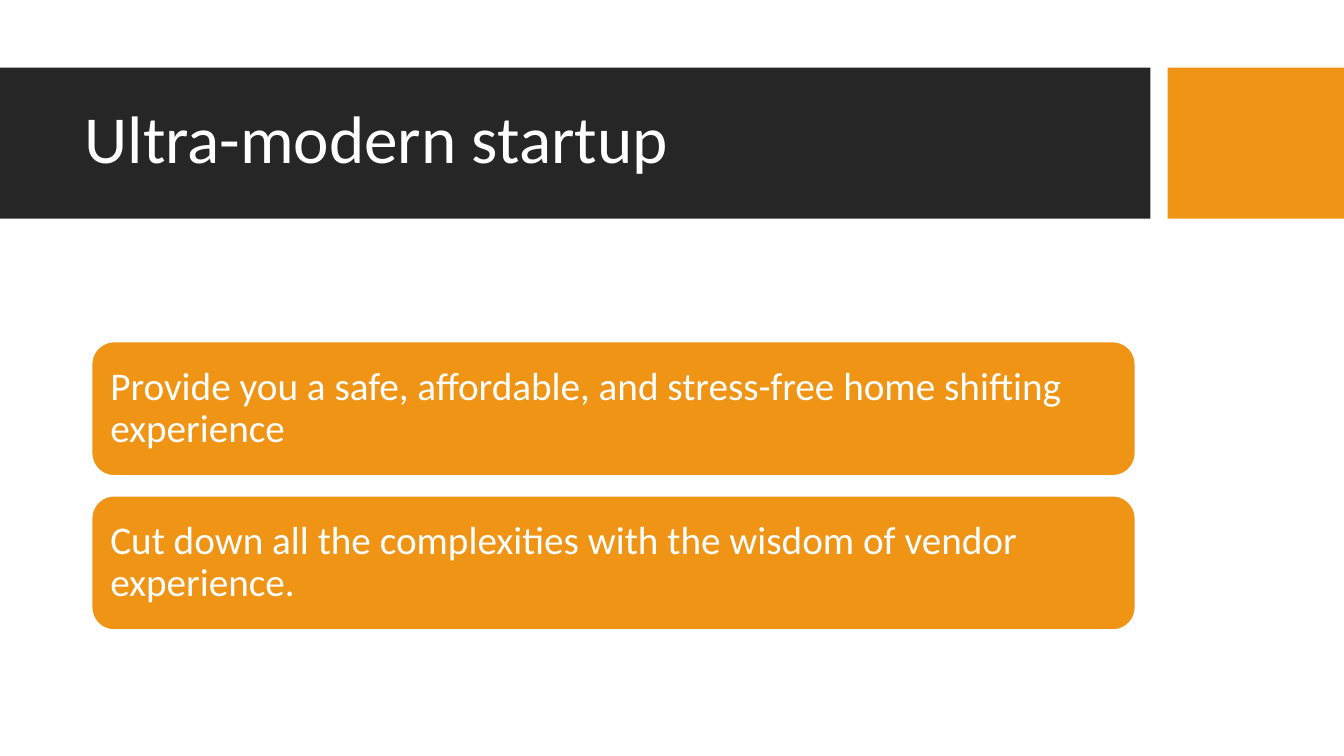
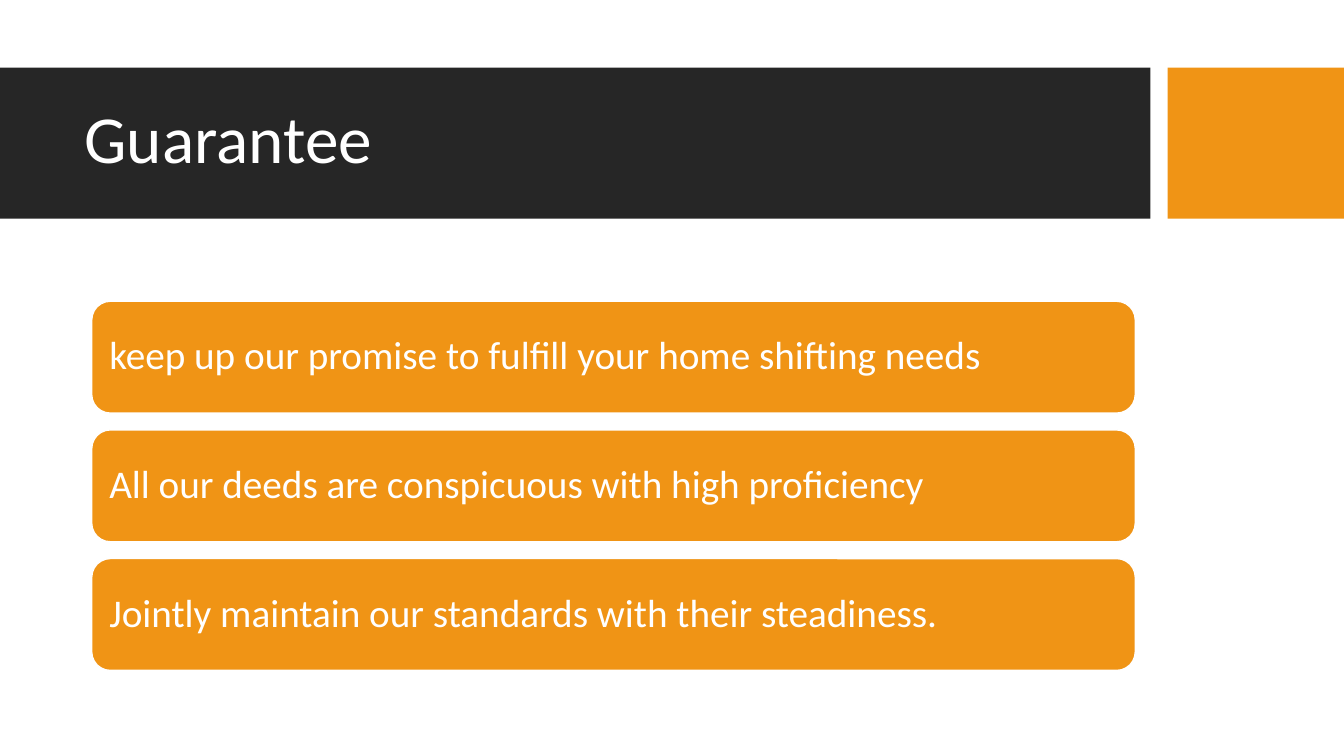
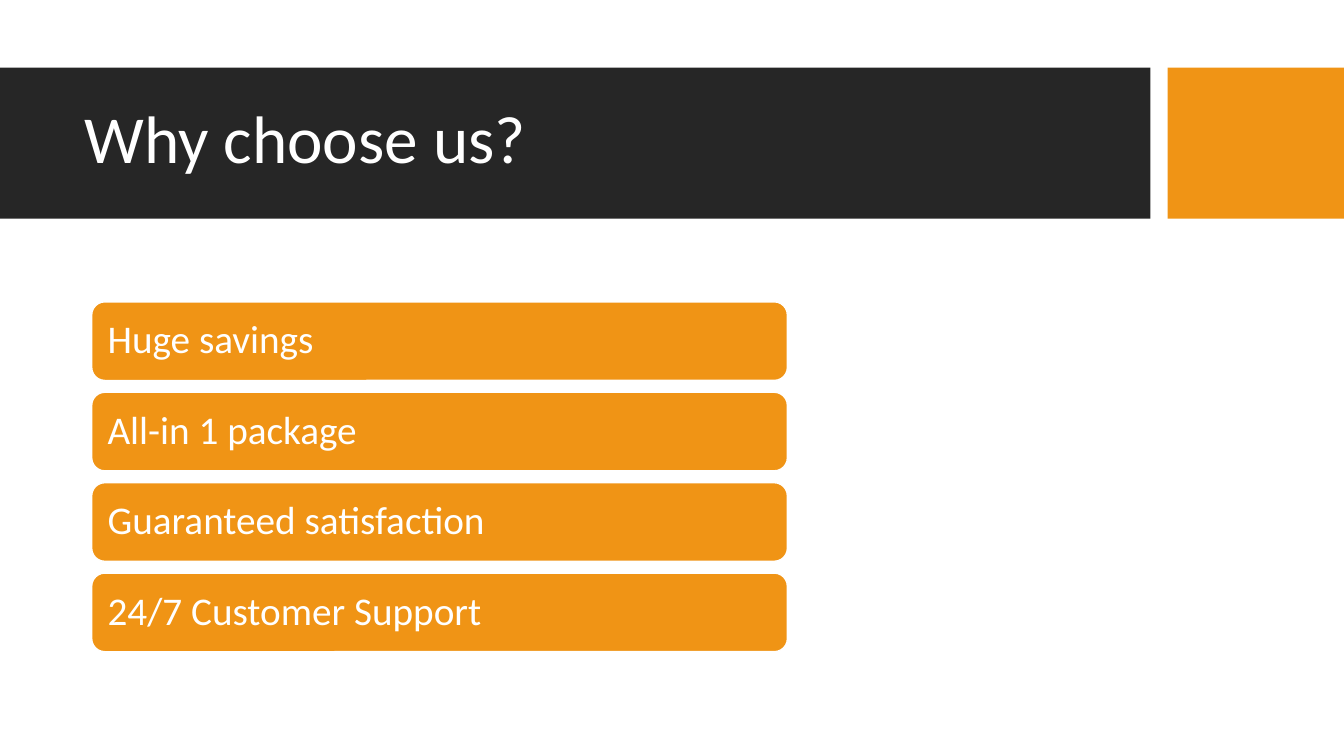
from pptx import Presentation
from pptx.dml.color import RGBColor
from pptx.enum.shapes import MSO_SHAPE
from pptx.enum.text import MSO_ANCHOR, PP_ALIGN
from pptx.util import Inches, Pt

# Content: title, card width, card height, centre line of the stack, card texts
SLIDES = [
    ("Ultra-modern startup", 10.35, 1.33, 4.82, [
        "Provide you a safe, affordable, and stress-free home shifting experience",
        "Cut down all the complexities with the wisdom of vendor experience.",
    ]),
    ("Guarantee", 10.35, 1.11, 4.82, [
        "keep up our promise to fulfill your home shifting needs",
        "All our deeds are conspicuous with high proficiency",
        "Jointly maintain our standards with their steadiness.",
    ]),
    ("Why choose us?", 6.9, 0.78, 4.73, [
        "Huge savings",
        "All-in 1 package",
        "Guaranteed satisfaction",
        "24/7 Customer Support",
    ]),
]

# Shared style
COLORS = {"band": "262626", "accent": "F09415", "text": "FFFFFF"}
FONT = "Calibri"
WIDTH, HEIGHT = 13.33, 7.5
BAND_TOP, BAND_HEIGHT, BAND_WIDTH = 0.67, 1.5, 11.41
ACCENT_WIDTH = 1.75
CARD_LEFT = 0.91
CARD_PITCH = 1.15  # distance between card tops, in card heights


def color(name):
    return RGBColor.from_string(COLORS[name])


def add_block(slide, kind, left, top, width, height, fill):
    shape = slide.shapes.add_shape(
        kind, Inches(left), Inches(top), Inches(width), Inches(height))
    shape.shadow.inherit = False
    shape.fill.solid()
    shape.fill.fore_color.rgb = color(fill)
    shape.line.fill.background()
    return shape


def write(shape, text, size, side, edge):
    frame = shape.text_frame
    frame.text = text
    frame.word_wrap = True
    frame.vertical_anchor = MSO_ANCHOR.MIDDLE
    frame.margin_left = frame.margin_right = Inches(side)
    frame.margin_top = frame.margin_bottom = Inches(edge)
    para = frame.paragraphs[0]
    para.alignment = PP_ALIGN.LEFT
    para.line_spacing = 0.9
    font = para.runs[0].font
    font.name, font.size = FONT, Pt(size)
    font.color.rgb = color("text")


def add_header(slide, title):
    add_block(slide, MSO_SHAPE.RECTANGLE, 0, BAND_TOP, BAND_WIDTH, BAND_HEIGHT, "band")
    add_block(slide, MSO_SHAPE.RECTANGLE, WIDTH - ACCENT_WIDTH, BAND_TOP,
              ACCENT_WIDTH, BAND_HEIGHT, "accent")
    box = slide.shapes.add_textbox(Inches(0.74), Inches(0.82), Inches(10.51), Inches(1.18))
    write(box, title, 48, 0.1, 0.05)


def add_cards(slide, width, height, centre, texts):
    pitch = height * CARD_PITCH
    top = centre - (pitch * (len(texts) - 1) + height) / 2
    for row, text in enumerate(texts):
        card = add_block(slide, MSO_SHAPE.ROUNDED_RECTANGLE, CARD_LEFT,
                         top + row * pitch, width, height, "accent")
        card.line.color.rgb = color("text")
        card.line.width = Pt(1)
        write(card, text, 28, 0.12, 0.12)


def main():
    deck = Presentation()
    deck.slide_width, deck.slide_height = Inches(WIDTH), Inches(HEIGHT)
    for title, *cards in SLIDES:
        slide = deck.slides.add_slide(deck.slide_layouts[6])
        add_header(slide, title)
        add_cards(slide, *cards)
    deck.save("out.pptx")


if __name__ == "__main__":
    main()
